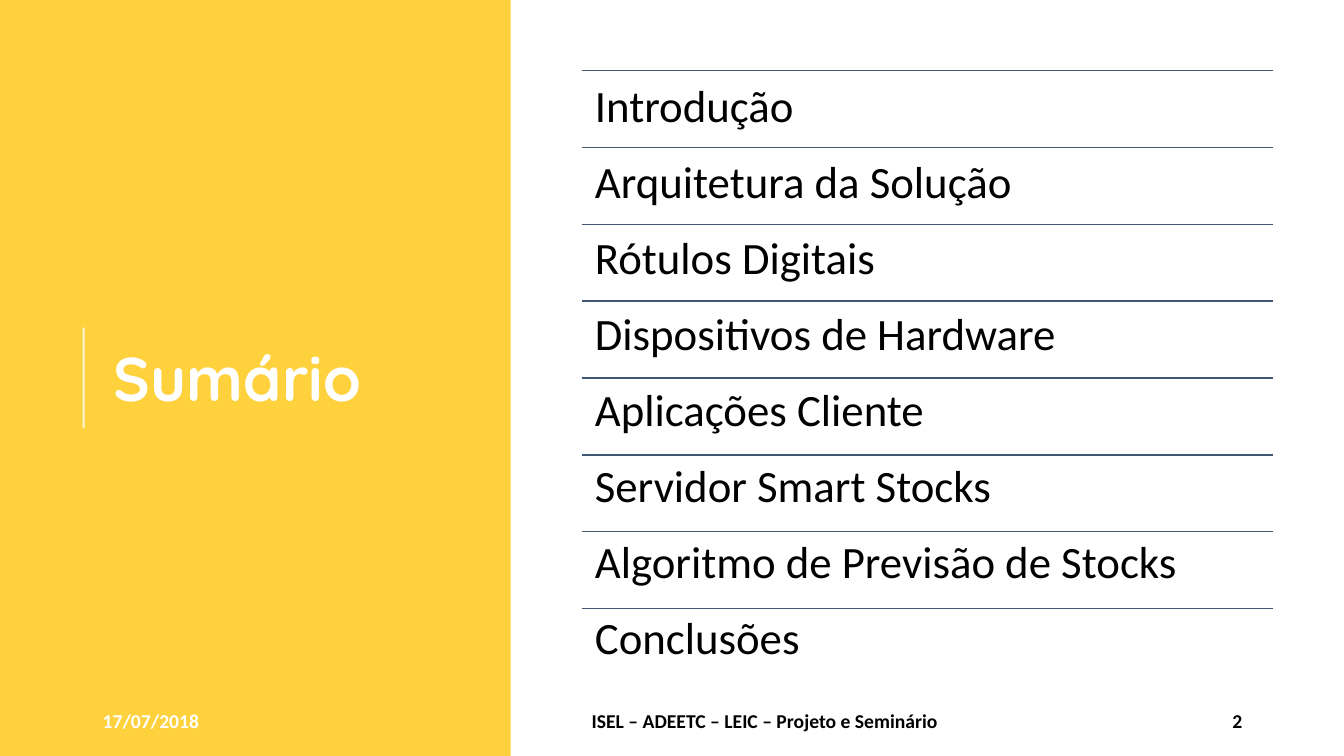
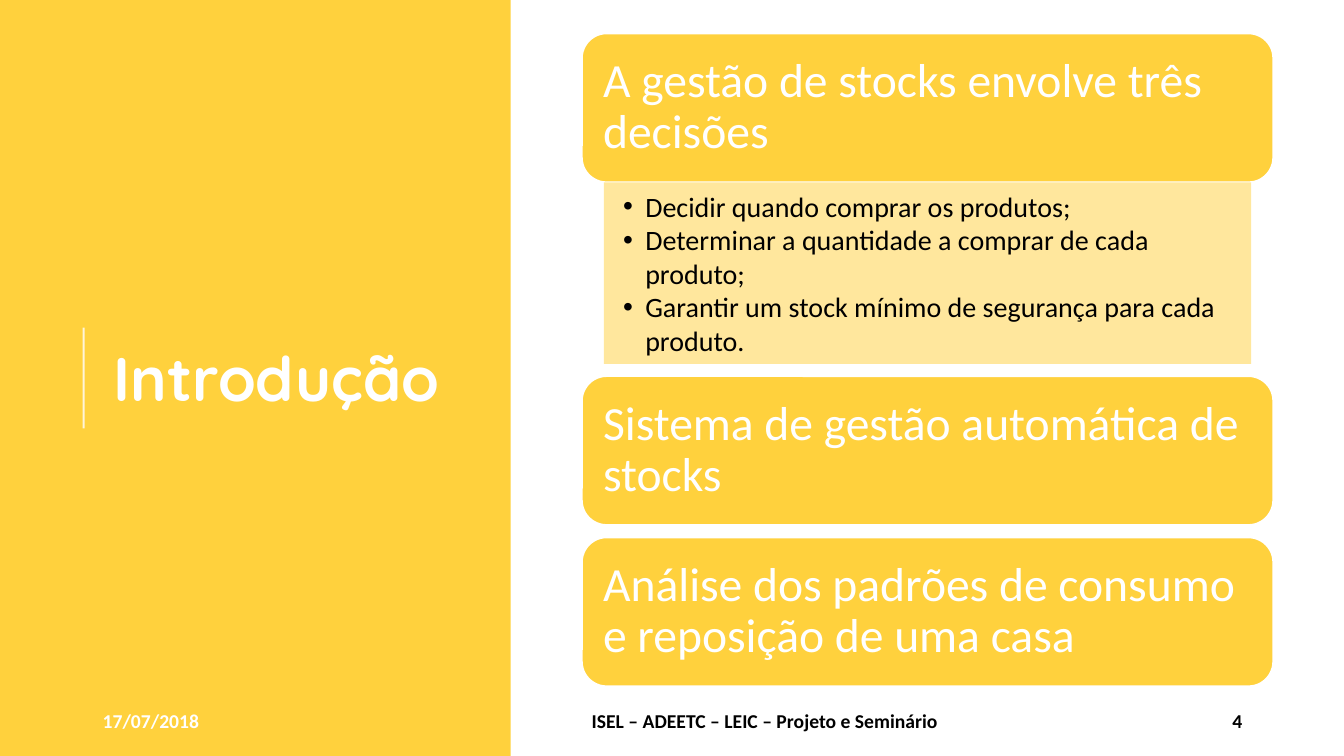
from dataclasses import dataclass

from lxml.etree import SubElement
from pptx import Presentation
from pptx.dml.color import RGBColor as Rgb
from pptx.enum.shapes import MSO_CONNECTOR as Connector, MSO_SHAPE as Preset
from pptx.enum.text import MSO_ANCHOR as Anchor, MSO_AUTO_SIZE as AutoSize, PP_ALIGN as Align
from pptx.oxml.ns import qn
from pptx.util import Inches, Pt


@dataclass(frozen=True)
class Theme:
    yellow: Rgb = Rgb(0xFF, 0xD1, 0x3D)
    white: Rgb = Rgb(0xFF, 0xFF, 0xFF)
    black: Rgb = Rgb(0, 0, 0)
    navy: Rgb = Rgb(0x3F, 0x57, 0x75)
    heading_font: str = "Quicksand"
    text_font: str = "Calibri"
    title_size: int = 44
    card_size: int = 34
    agenda_size: int = 32
    bullet_size: int = 20
    footer_size: int = 14
    tight: float = 0.9
    line_height: float = 1.22


@dataclass(frozen=True)
class Box:
    left: float
    top: float
    width: float
    height: float

    @property
    def right(self):
        return self.left + self.width

    def emu(self):
        return [Inches(n) for n in (self.left, self.top, self.width, self.height)]

    def band(self, offset, height, margin=0):
        return Box(self.left + margin, self.top + offset, self.width - 2 * margin, height)


THEME = Theme()
PAGE = Box(0, 0, 13.33, 7.5)
SIDEBAR = Box(0, 0, PAGE.width * 0.38, PAGE.height)
AGENDA = Box(5.77, 0.7, 6.86, 6.1)
CARDS = Box(5.77, 0.33, 6.86, 6.47)
FOOTER = Box(0.92, 6.95, 11.5, 0.4)

DATE = "17/07/2018"
COURSE = "ISEL – ADEETC – LEIC – Projeto e Seminário"
TOPICS = [
    "Introdução",
    "Arquitetura da Solução",
    "Rótulos Digitais",
    "Dispositivos de Hardware",
    "Aplicações Cliente",
    "Servidor Smart Stocks",
    "Algoritmo de Previsão de Stocks",
    "Conclusões",
]
DECISIONS = [
    "Decidir quando comprar os produtos;",
    "Determinar a quantidade a comprar de cada produto;",
    "Garantir um stock mínimo de segurança para cada produto.",
]
POINTS = [
    ("A gestão de stocks envolve três decisões", DECISIONS),
    ("Sistema de gestão automática de stocks", []),
    ("Análise dos padrões de consumo e reposição de uma casa", []),
]


def place(shape, box):
    shape.left, shape.top, shape.width, shape.height = box.emu()


def set_alpha(fill, percent):
    color = fill._xPr.find(qn("a:solidFill"))[0]
    SubElement(color, qn("a:alpha"), val=str(percent * 1000))


def write(shape, lines, size, color, font=THEME.text_font, bold=False, align=Align.LEFT,
          anchor=Anchor.MIDDLE, spacing=1.0, after=0, inset=(0.1, 0.05), bullet=None):
    frame = shape.text_frame
    frame.word_wrap = True
    frame.auto_size = AutoSize.NONE
    frame.vertical_anchor = anchor
    frame.margin_left = frame.margin_right = Inches(inset[0])
    frame.margin_top = frame.margin_bottom = Inches(inset[1])
    frame.text = "\n".join(lines)
    for paragraph in frame.paragraphs:
        paragraph.alignment = align
        paragraph.line_spacing = spacing
        paragraph.space_before = Pt(0)
        paragraph.space_after = Pt(after)
        properties = paragraph._p.get_or_add_pPr()
        hanging = Inches(0.22) if bullet else 0
        properties.set("marL", str(Inches(0.31) if bullet else 0))
        properties.set("indent", str(-hanging))
        if bullet:
            SubElement(properties, qn("a:buFont"), typeface="Arial")
            SubElement(properties, qn("a:buChar"), char=bullet)
        else:
            SubElement(properties, qn("a:buNone"))
        paragraph.font.name = font
        paragraph.font.size = Pt(size)
        paragraph.font.bold = bold
        paragraph.font.color.rgb = color


def add_panel(slide, preset, box, fill, outline=None):
    panel = slide.shapes.add_shape(preset, *box.emu())
    panel.shadow.inherit = False
    panel.fill.solid()
    panel.fill.fore_color.rgb = fill
    if outline is None:
        panel.line.fill.background()
    else:
        panel.line.color.rgb = outline
        panel.line.width = Pt(1.5)
    return panel


def add_rule(slide, start, end, color, width):
    ends = [Inches(n) for n in (*start, *end)]
    rule = slide.shapes.add_connector(Connector.STRAIGHT, *ends)
    rule.line.color.rgb = color
    rule.line.width = Pt(width)
    SubElement(rule._element.spPr, qn("a:effectLst"))
    return rule


def add_sidebar(slide, box, heading):
    panel = add_panel(slide, Preset.RECTANGLE, box, THEME.yellow)
    title = slide.shapes.title
    title.element.addprevious(panel.element)
    place(title, Box(box.left + 1.03, box.top + 0.78, 3.69, 6.02))
    write(title, [heading], THEME.title_size, THEME.white, THEME.heading_font,
          bold=True, spacing=THEME.tight)
    middle, accent_x = box.top + box.height / 2, box.left + 0.83
    accent = add_rule(slide, (accent_x, middle + 0.5), (accent_x, middle - 0.5), THEME.white, 1.5)
    set_alpha(accent.line.fill, 80)


def add_footer(slide, box, number):
    entries = [
        (DATE, 0, 3, THEME.white, Align.LEFT),
        (COURSE, 4.85, 3.87, THEME.black, Align.LEFT),
        (str(number), box.width - 3, 3, THEME.black, Align.RIGHT),
    ]
    for text, offset, width, color, align in entries:
        cell = Box(box.left + offset, box.top, width, box.height)
        entry = slide.shapes.add_textbox(*cell.emu())
        write(entry, [text], THEME.footer_size, color, bold=True, align=align)


def add_agenda(slide, box, topics):
    row = box.height / len(topics)
    for index in range(len(topics)):
        y = box.top + index * row
        add_rule(slide, (box.left, y), (box.right, y), THEME.navy, 1)
    agenda = slide.placeholders[1]
    place(agenda, box)
    text_height = THEME.agenda_size * THEME.line_height * THEME.tight
    write(agenda, topics, THEME.agenda_size, THEME.black, anchor=Anchor.TOP,
          spacing=THEME.tight, after=round(row * 72 - text_height, 2), inset=(0.13, 0.13))


def add_decisions(slide, box, decisions):
    details = slide.placeholders[1]
    slide.shapes.element.append(details.element)
    place(details, box)
    details.fill.solid()
    details.fill.fore_color.rgb = THEME.yellow
    set_alpha(details.fill, 50)
    write(details, decisions, THEME.bullet_size, THEME.black, bullet="•")


def add_cards(slide, box, points):
    card_height, details_height, gap = 1.48, 1.8, 0.12
    offset = 0
    for heading, decisions in points:
        card = add_panel(slide, Preset.ROUNDED_RECTANGLE, box.band(offset, card_height),
                         THEME.yellow, THEME.white)
        write(card, [heading], THEME.card_size, THEME.white, spacing=THEME.tight,
              inset=(0.14, 0.14))
        offset += card_height
        if decisions:
            add_decisions(slide, box.band(offset, details_height, 0.22), decisions)
            offset += details_height
        offset += gap


def add_section(deck, heading, number):
    slide = deck.slides.add_slide(deck.slide_layouts[1])
    add_sidebar(slide, SIDEBAR, heading)
    add_footer(slide, FOOTER, number)
    return slide


def main():
    deck = Presentation()
    deck.slide_width, deck.slide_height = Inches(PAGE.width), Inches(PAGE.height)
    add_agenda(add_section(deck, "Sumário", 2), AGENDA, TOPICS)
    add_cards(add_section(deck, "Introdução", 4), CARDS, POINTS)
    deck.save("out.pptx")


if __name__ == "__main__":
    main()
